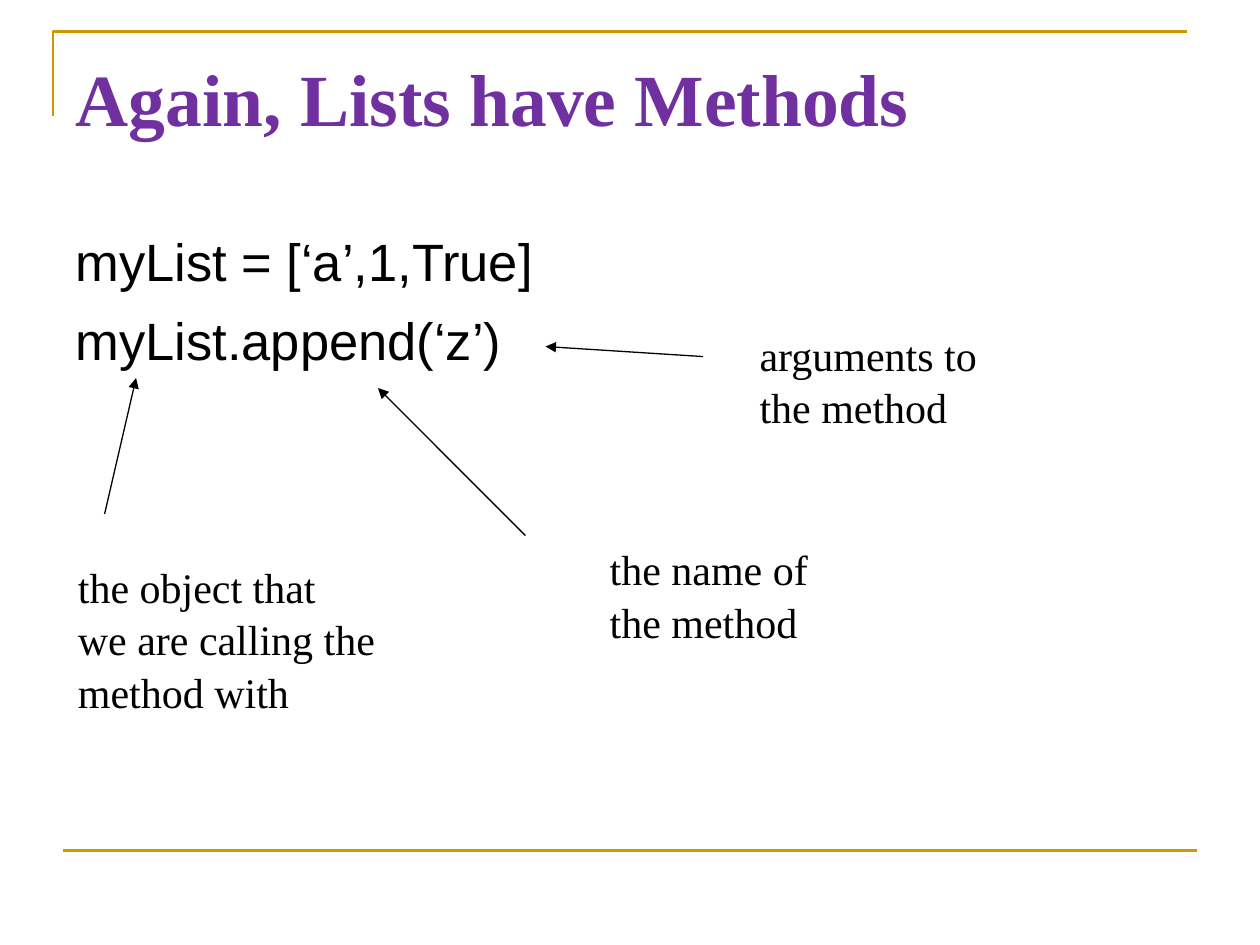
from lxml import etree
from pptx import Presentation
from pptx.dml.color import RGBColor
from pptx.enum.shapes import MSO_CONNECTOR
from pptx.enum.text import MSO_ANCHOR, MSO_AUTO_SIZE, PP_ALIGN
from pptx.oxml.ns import qn
from pptx.util import Inches, Pt

COLORS = {"gold": "CC9900", "purple": "7030A0", "black": "000000"}
TITLE = {"name": "Times New Roman", "size": Pt(42), "bold": True}
CODE = {"name": "Arial", "size": Pt(30)}
NOTE = {"name": "Times New Roman", "size": Pt(24)}


def write(tf, lines, font, color, gap=0):
    tf.vertical_anchor = MSO_ANCHOR.TOP
    for i, line in enumerate(lines):
        p = tf.paragraphs[0] if i == 0 else tf.add_paragraph()
        p.alignment = PP_ALIGN.LEFT
        p.line_spacing = 1.04
        p.space_before = Pt(gap if i else 0)
        r = p.add_run()
        r.text = line
        for key, value in font.items():
            setattr(r.font, key, value)
        r.font.color.rgb = RGBColor.from_string(COLORS[color])


def add_line(s, x1, y1, x2, y2, color, width):
    line = s.shapes.add_connector(
        MSO_CONNECTOR.STRAIGHT, Inches(x1), Inches(y1), Inches(x2), Inches(y2))
    line.line.color.rgb = RGBColor.from_string(COLORS[color])
    line.line.width = Pt(width)
    etree.SubElement(line._element.spPr, qn("a:effectLst"))
    return line


prs = Presentation()
prs.slide_width, prs.slide_height = Inches(10), Inches(7.5)
s = prs.slides.add_slide(prs.slide_layouts[1])

builder = s.shapes.build_freeform(Inches(0.42), Inches(0.92))
builder.add_line_segments(
    [(Inches(0.42), Inches(0.25)), (Inches(9.42), Inches(0.25))], close=False)
corner = builder.convert_to_shape()
corner.shadow.inherit = False
corner.fill.background()
corner.line.color.rgb = RGBColor.from_string(COLORS["gold"])
corner.line.width = Pt(1.5)
add_line(s, 0.5, 6.75, 9.5, 6.75, "gold", 1.5)

title, body = s.placeholders
for sp, top, height in [(title, 0.3, 1.5), (body, 1.75, 4.95)]:
    sp.left, sp.top = Inches(0.5), Inches(top)
    sp.width, sp.height = Inches(9), Inches(height)
    sp.text_frame.auto_size = MSO_AUTO_SIZE.NONE
title.text_frame.margin_top = Inches(0.09)
write(title.text_frame, ["Again, Lists have Methods"], TITLE, "purple")
write(body.text_frame, ["myList = [‘a’,1,True]", "myList.append(‘z’)"], CODE, "black", 7.5)
for p in body.text_frame.paragraphs:
    pPr = p._p.get_or_add_pPr()
    pPr.set("marL", str(Inches(0.37)))
    pPr.set("indent", str(Inches(-0.37)))
    etree.SubElement(pPr, qn("a:buNone"))

notes = [
    (0.52, 4.39, 2.56, 1.3, ["the object that", "we are calling the", "method with"]),
    (4.74, 4.25, 1.85, 0.9, ["the name of", "the method"]),
    (5.93, 2.55, 1.93, 0.9, ["arguments to", "the method"]),
]
for left, top, width, height, lines in notes:
    sp = s.shapes.add_textbox(Inches(left), Inches(top), Inches(width), Inches(height))
    tf = sp.text_frame
    tf.word_wrap = False
    tf.auto_size = MSO_AUTO_SIZE.SHAPE_TO_FIT_TEXT
    write(tf, lines, NOTE, "black")

arrows = [(0.83, 4.08, 1.08, 3), (4.17, 4.25, 3, 3.08), (5.58, 2.83, 4.33, 2.75)]
for ends in arrows:
    arrow = add_line(s, *ends, "black", 0.75)
    etree.SubElement(arrow.line._get_or_add_ln(), qn("a:tailEnd"), type="triangle")

prs.save("out.pptx")
